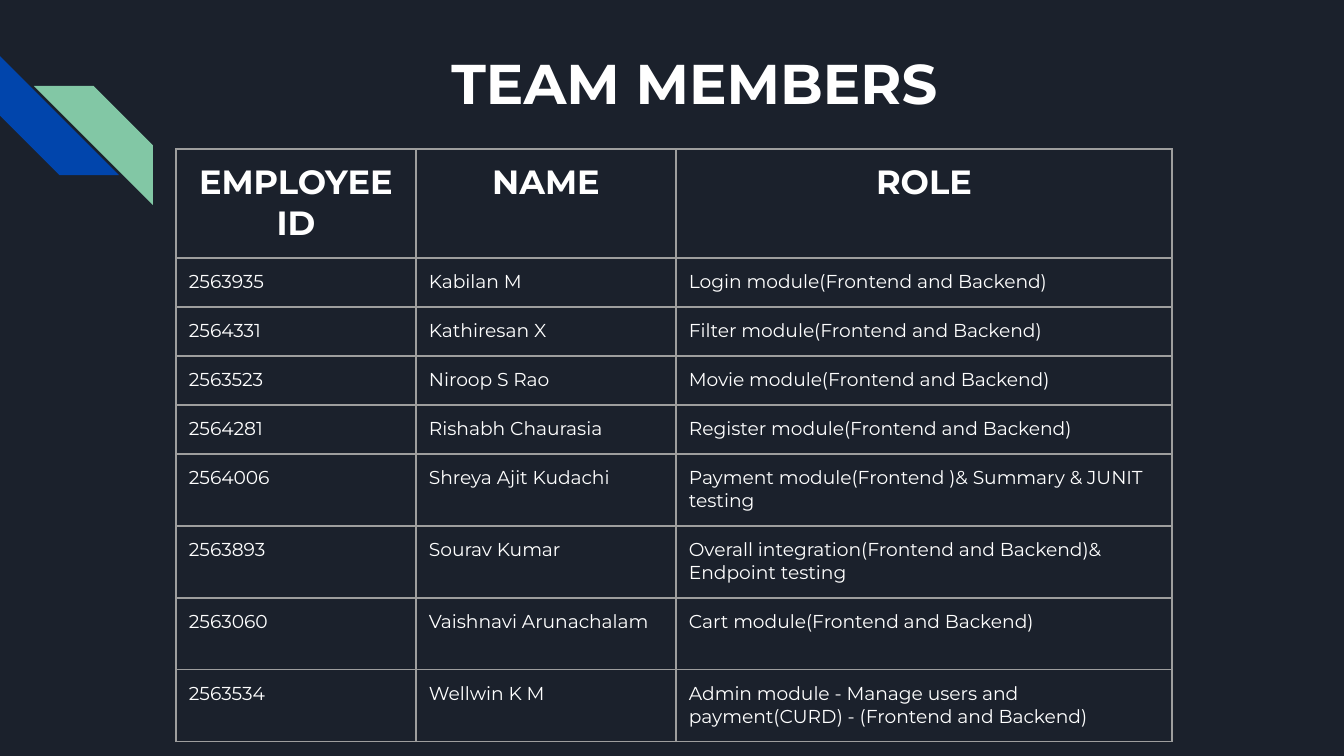
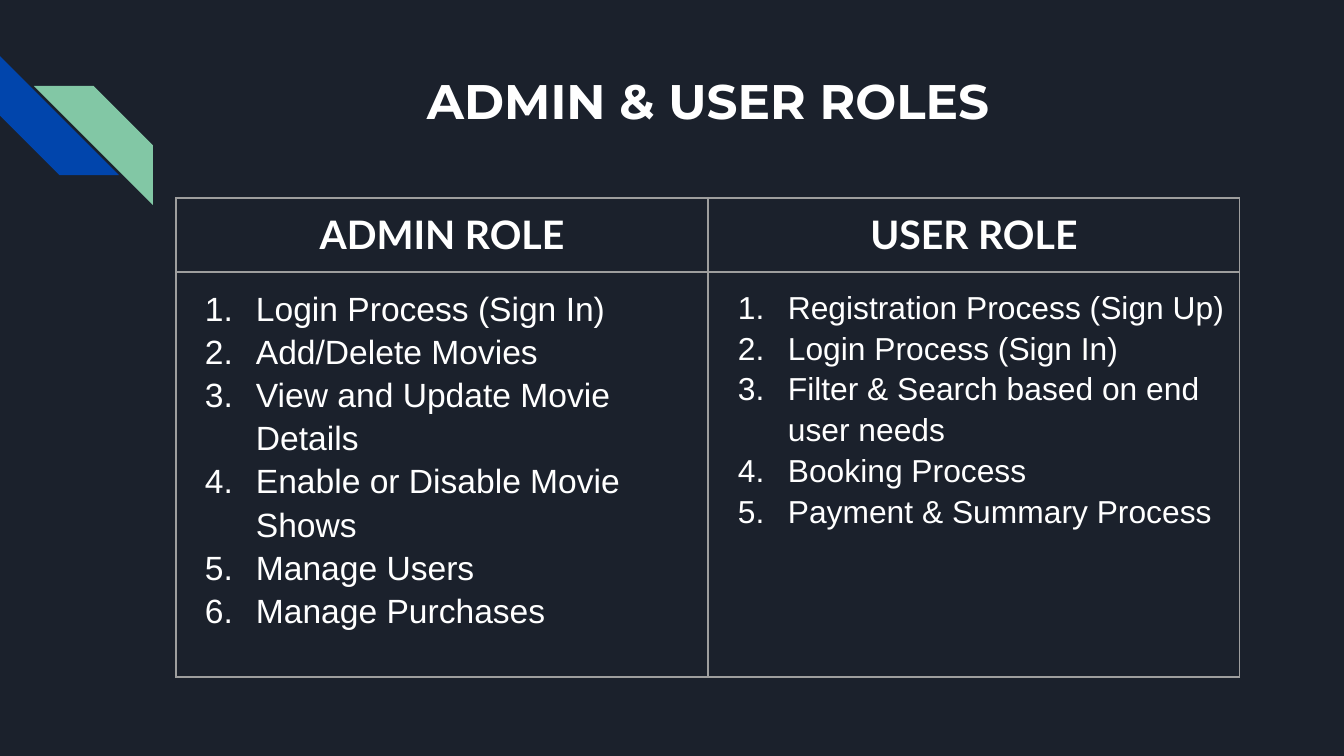
from lxml import etree
from pptx import Presentation
from pptx import util as u
from pptx.dml.color import RGBColor
from pptx.enum import shapes, text
from pptx.oxml import ns

PX = 6804
PAD = 13 * PX
NAVY, BLUE, GREEN, WHITE, GREY = "1B212C", "0145AC", "82C7A5", "FFFFFF", "9E9E9E"
hue = RGBColor.from_string


def style(par, size, face, bold=False, mid=False):
    par.alignment = text.PP_ALIGN.CENTER if mid else text.PP_ALIGN.LEFT
    for run in par.runs:
        font = run.font
        font.size, font.name, font.bold = u.Pt(size), face, bold
        font.color.rgb = hue(WHITE)


def grid(slide, left, top, cols, rows):
    box = slide.shapes.add_table(len(rows), len(cols), left * PX, top * PX,
                                 sum(cols) * PX, sum(rows) * PX)
    table = box.table
    table.first_row = table.horz_banding = False
    for col, wide in zip(table.columns, cols):
        col.width = wide * PX
    for row, high in zip(table.rows, rows):
        row.height = high * PX
    for cell in table.iter_cells():
        cell.margin_left = cell.margin_right = PAD
        cell.margin_top = cell.margin_bottom = PAD
        cell.fill.background()
        props = cell._tc.get_or_add_tcPr()
        for i, side in enumerate(("a:lnL", "a:lnR", "a:lnT", "a:lnB")):
            line = etree.Element(ns.qn(side), w=str(u.Pt(0.75)))
            fill = etree.SubElement(line, ns.qn("a:solidFill"))
            etree.SubElement(fill, ns.qn("a:srgbClr"), val=GREY)
            props.insert(i, line)
    return table


prs = Presentation()
prs.slide_width, prs.slide_height = 1344 * PX, 756 * PX
master = prs.slide_master
master.background.fill.solid()
master.background.fill.fore_color.rgb = hue(NAVY)

heads = [("TEAM MEMBERS", 30, 177, 36), ("ADMIN & USER ROLES", 26, 191, 58)]
pages = []
for words, size, left, top in heads:
    slide = prs.slides.add_slide(prs.slide_layouts[5])
    title = slide.shapes.title
    title.left, title.top, title.width, title.height = left * PX, top * PX, 1035 * PX, 95 * PX
    frame = title.text_frame
    frame.text = words
    frame.auto_size = text.MSO_AUTO_SIZE.NONE
    frame.vertical_anchor = text.MSO_ANCHOR.TOP
    frame.margin_left = frame.margin_right = frame.margin_top = frame.margin_bottom = PAD
    style(frame.paragraphs[0], size, "Montserrat", True, True)
    pages.append(slide)
team, roles = pages

for i, (left, top, tint) in enumerate([(0, 56, BLUE), (34, 86, GREEN)]):
    stripe = team.shapes.add_shape(shapes.MSO_SHAPE.DIAGONAL_STRIPE,
                                   left * PX, top * PX, 119 * PX, 119 * PX)
    stripe.shadow.inherit = False
    stripe.fill.solid()
    stripe.fill.fore_color.rgb = hue(tint)
    stripe.line.fill.background()
    if tint == BLUE:
        stripe.rotation = 270
    else:
        stripe.element.spPr.xfrm.set("flipH", "1")
    stripe.element.nvSpPr.cNvPr.set("id", str(20 + i))
    master.shapes.element.insert(2 + i, stripe.element)

staff = [
    ("EMPLOYEE ID", "NAME", "ROLE"),
    ("2563935", "Kabilan M", "Login module(Frontend and Backend)"),
    ("2564331", "Kathiresan X", "Filter module(Frontend and Backend)"),
    ("2563523", "Niroop S Rao", "Movie module(Frontend and Backend)"),
    ("2564281", "Rishabh Chaurasia", "Register module(Frontend and Backend)"),
    ("2564006", "Shreya Ajit Kudachi", "Payment module(Frontend )& Summary & JUNIT testing"),
    ("2563893", "Sourav Kumar", "Overall integration(Frontend and Backend)& Endpoint testing"),
    ("2563060", "Vaishnavi Arunachalam", "Cart module(Frontend and Backend)"),
    ("2563534", "Wellwin K M",
     "Admin module - Manage users and payment(CURD) - (Frontend and Backend)"),
]
table = grid(team, 176, 149, [240, 260, 496], [109] + [49] * 4 + [72] * 4)
for r, row in enumerate(staff):
    for c, words in enumerate(row):
        frame = table.cell(r, c).text_frame
        frame.text = words
        style(frame.paragraphs[0], 10 if r else 18, "Montserrat", r == 0, r == 0)

lists = [
    ("ADMIN ROLE", 18, 51, ["Login Process (Sign In)", "Add/Delete Movies",
                            "View and Update Movie Details",
                            "Enable or Disable Movie Shows",
                            "Manage Users", "Manage Purchases"]),
    ("USER ROLE", 17, 50, ["Registration Process (Sign Up)", "Login Process (Sign In)",
                           "Filter & Search based on end user needs",
                           "Booking Process", "Payment & Summary Process"]),
]
table = grid(roles, 176, 198, [532, 532], [74, 405])
for c, (head, size, hang, items) in enumerate(lists):
    frame = table.cell(0, c).text_frame
    frame.text = head
    style(frame.paragraphs[0], 21, "Lato", True, True)
    frame = table.cell(1, c).text_frame
    frame.text = "\n".join(items)
    for par in frame.paragraphs:
        props = par._p.get_or_add_pPr()
        props.set("marL", str(67 * PX))
        props.set("indent", str(-hang * PX))
        tint = etree.SubElement(props, ns.qn("a:buClr"))
        etree.SubElement(tint, ns.qn("a:srgbClr"), val=WHITE)
        etree.SubElement(props, ns.qn("a:buFont"), typeface="Arial")
        etree.SubElement(props, ns.qn("a:buAutoNum"), type="arabicPeriod")
        par.line_spacing = 1.15
        style(par, size, "Arial")

prs.save("out.pptx")
